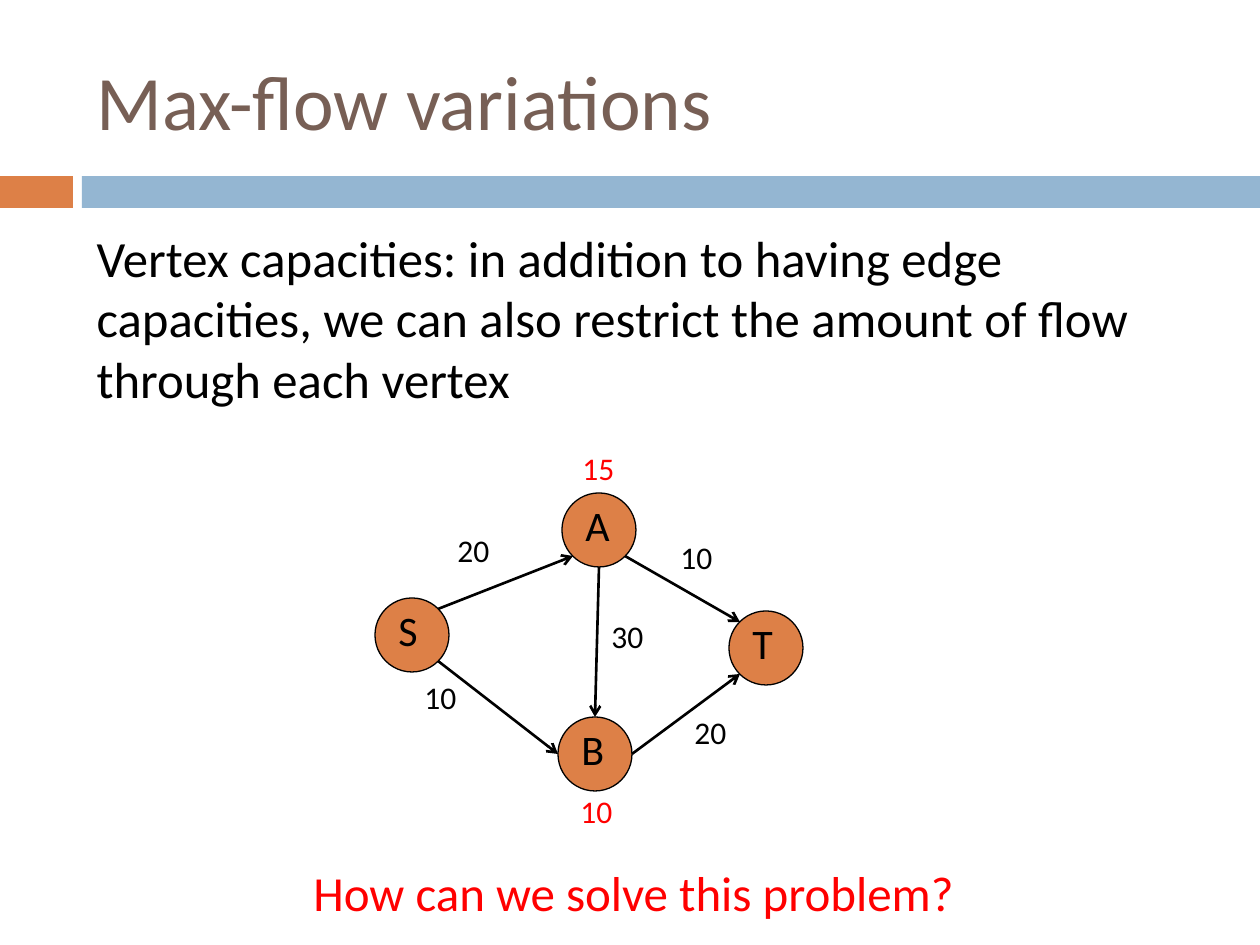
from dataclasses import dataclass
from math import cos, radians, sin

from lxml.etree import SubElement
from pptx import Presentation
from pptx.dml.color import RGBColor
from pptx.enum.shapes import MSO_CONNECTOR as Link, MSO_SHAPE as Preset
from pptx.enum.text import MSO_ANCHOR as Anchor, MSO_AUTO_SIZE as Fit, PP_ALIGN as Align
from pptx.oxml.ns import qn
from pptx.util import Emu, Pt

SCALE = 914400 / 126
FONT = "Calibri"
ORANGE = RGBColor(0xDD, 0x80, 0x47)
BLUE = RGBColor(0x94, 0xB6, 0xD2)
BROWN = RGBColor(0x77, 0x5F, 0x55)
BLACK = RGBColor(0, 0, 0)
RED = RGBColor(0xFF, 0, 0)
NODE_SIZE = 74
LETTER_INDENT = 11
LETTER_SIZE = 63


@dataclass(frozen=True)
class Node:
    name: str
    left: int
    top: int

    def rim(self, angle: int) -> tuple[int, int]:
        """Return the point on the circle at a clockwise angle from the right."""
        radius = NODE_SIZE / 2
        turn = radians(angle)
        return (round(self.left + radius + radius * cos(turn)),
                round(self.top + radius + radius * sin(turn)))


@dataclass(frozen=True)
class Edge:
    start: Node
    start_angle: int
    end: Node
    end_angle: int


@dataclass(frozen=True)
class Label:
    text: str
    left: int
    top: int
    color: RGBColor = BLACK


S = Node("S", 375, 598)
A = Node("A", 562, 493)
B = Node("B", 558, 717)
T = Node("T", 729, 611)
NODES = [S, A, B, T]
EDGES = [
    Edge(S, -45, A, 135),
    Edge(S, 45, B, 180),
    Edge(B, 0, T, 135),
    Edge(A, 90, B, -90),
    Edge(A, 45, T, -135),
]
LABELS = [
    Label("20", 445, 525),
    Label("20", 682, 707),
    Label("10", 412, 672),
    Label("10", 668, 532),
    Label("30", 599, 611),
    Label("15", 570, 443, RED),
    Label("10", 568, 786, RED),
]


def px(*lengths: int) -> list[Emu]:
    """Turn pixel lengths into EMU."""
    return [Emu(round(length * SCALE)) for length in lengths]


def write(box, text: str, *, size: int, color: RGBColor = BLACK,
          anchor=Anchor.TOP, fit=Fit.NONE, before: int = 0):
    """Fill a text-bearing shape with one formatted paragraph and return it."""
    frame = box.text_frame
    frame.word_wrap = True
    frame.auto_size = fit
    frame.vertical_anchor = anchor
    para = frame.paragraphs[0]
    para.alignment = Align.LEFT
    para.space_before = Pt(before)
    span = para.add_run()
    span.text = text
    span.font.name = FONT
    span.font.size = Pt(size)
    span.font.color.rgb = color
    return para


def place(box, left: int, top: int, width: int, height: int) -> None:
    """Move and size a placeholder."""
    box.left, box.top, box.width, box.height = px(left, top, width, height)


def add_fill(shapes, preset, color: RGBColor, *frame: int):
    """Add a flat shape without an outline."""
    shape = shapes.add_shape(preset, *px(*frame))
    shape.shadow.inherit = False
    shape.fill.solid()
    shape.fill.fore_color.rgb = color
    shape.line.fill.background()
    return shape


def add_node(page, node: Node) -> None:
    """Add a vertex circle grouped with its letter."""
    shapes = page.shapes.add_group_shape().shapes
    circle = add_fill(shapes, Preset.OVAL, ORANGE,
                      node.left, node.top, NODE_SIZE, NODE_SIZE)
    circle.line.color.rgb = BLACK
    circle.line.width = Pt(0.75)
    box = shapes.add_textbox(*px(node.left + LETTER_INDENT, node.top,
                                 LETTER_SIZE, LETTER_SIZE))
    write(box, node.name, size=24, fit=Fit.SHAPE_TO_FIT_TEXT)


def add_edge(page, edge: Edge) -> None:
    """Add an arrow between the rims of two vertices."""
    start = edge.start.rim(edge.start_angle)
    end = edge.end.rim(edge.end_angle)
    arrow = page.shapes.add_connector(Link.STRAIGHT, *px(*start, *end))
    arrow.line.color.rgb = BLACK
    arrow.line.width = Pt(1.5)
    SubElement(arrow.line._get_or_add_ln(), qn("a:tailEnd"), type="arrow")
    SubElement(arrow._element.spPr, qn("a:effectLst"))


def add_label(page, label: Label) -> None:
    """Add a capacity beside an edge or a vertex."""
    box = page.shapes.add_textbox(*px(label.left, label.top, 95, 50))
    write(box, label.text, size=18, color=label.color, fit=Fit.SHAPE_TO_FIT_TEXT)


def main() -> None:
    """Build and save the slide."""
    deck = Presentation()
    deck.slide_width, deck.slide_height = px(1260, 945)
    page = deck.slides.add_slide(deck.slide_layouts[1])

    add_fill(page.shapes, Preset.RECTANGLE, ORANGE, 0, 176, 73, 32)
    add_fill(page.shapes, Preset.RECTANGLE, BLUE, 82, 176, 1178, 32)

    title, body = page.shapes.title, page.placeholders[1]
    place(title, 84, 32, 1124, 136)
    write(title, "Max-flow variations", size=44, color=BROWN, anchor=Anchor.MIDDLE)
    place(body, 84, 220, 1124, 198)
    para = write(body, "Vertex capacities: in addition to having edge capacities, "
                 "we can also restrict the amount of flow through each vertex",
                 size=29, before=7)
    props = para._p.get_or_add_pPr()
    props.set("marL", "0")
    props.set("indent", "0")
    SubElement(props, qn("a:buNone"))

    for node in NODES:
        add_node(page, node)
    for edge in EDGES:
        add_edge(page, edge)
    for label in LABELS:
        add_label(page, label)

    question = page.shapes.add_textbox(*px(301, 856, 733, 72))
    write(question, "How can we solve this problem?", size=28, color=RED,
          fit=Fit.SHAPE_TO_FIT_TEXT)
    deck.save("out.pptx")


if __name__ == "__main__":
    main()
